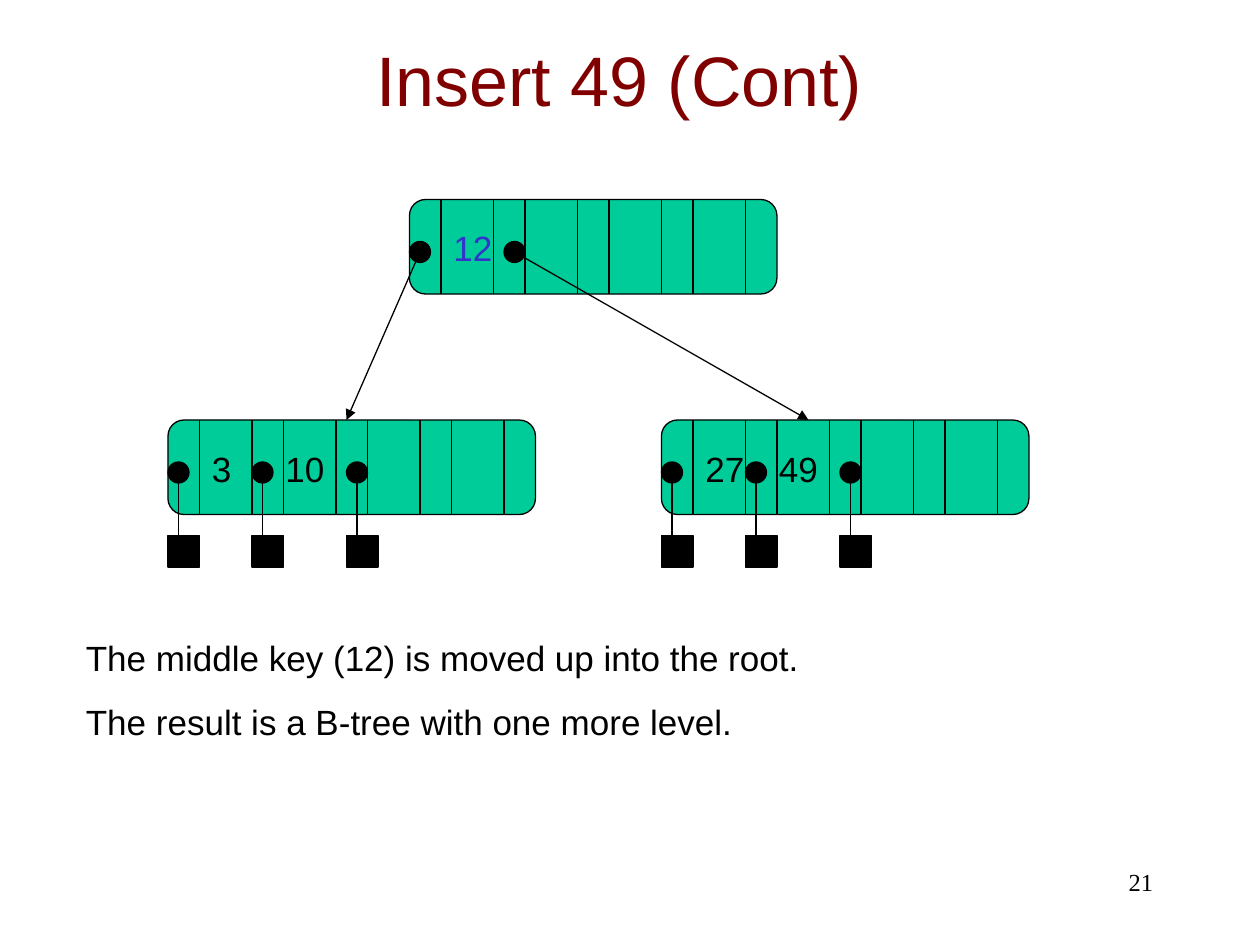
from lxml import etree
from pptx import Presentation
from pptx import util as u
from pptx.dml.color import RGBColor
from pptx.enum import shapes, text
from pptx.oxml import ns

BLACK = RGBColor(0x00, 0x00, 0x00)
GREEN = RGBColor(0x00, 0xCC, 0x99)
MAROON = RGBColor(0x80, 0x00, 0x00)
BLUE = RGBColor(0x33, 0x33, 0xCC)

# Positions are counted in grid steps of a twelfth of an inch.
GRID = u.Cm(2.54 / 12)
NODE_WIDTH, NODE_HEIGHT = 35, 9
POINTER_WIDTH, CELL_PITCH = 3, 8
DOT_SIZE, DOT_DROP = 2, 4
NULL_SIZE, NULL_DROP = 3, 11


def steps(*counts):
    return [u.Emu(round(count * GRID)) for count in counts]


class TreeSlide:
    font_name = "Arial"
    line_width = u.Pt(0.75)

    def __init__(self, slide):
        self.slide = slide

    def text_box(self, left, top, width, height, lines, size, color=BLACK,
                 font=None, align=text.PP_ALIGN.LEFT,
                 anchor=text.MSO_ANCHOR.TOP, wrap=True, gap=0):
        shape = self.slide.shapes.add_textbox(*steps(left, top, width, height))
        frame = shape.text_frame
        frame.word_wrap = wrap
        frame.vertical_anchor = anchor
        if not wrap:
            frame.auto_size = text.MSO_AUTO_SIZE.SHAPE_TO_FIT_TEXT
        for index, line in enumerate(lines):
            paragraph = frame.add_paragraph() if index else frame.paragraphs[0]
            paragraph.alignment = align
            if index and gap:
                paragraph.space_before = gap
            run = paragraph.add_run()
            run.text = line
            run.font.name = font or self.font_name
            run.font.size = u.Pt(size)
            run.font.color.rgb = color

    def solid(self, kind, left, top, width, height, fill=BLACK):
        shape = self.slide.shapes.add_shape(
            kind, *steps(left, top, width, height))
        shape.shadow.inherit = False
        shape.fill.solid()
        shape.fill.fore_color.rgb = fill
        shape.line.color.rgb = BLACK
        shape.line.width = self.line_width
        return shape

    def line(self, start, end, arrow=False):
        connector = self.slide.shapes.add_connector(
            shapes.MSO_CONNECTOR.STRAIGHT, *steps(*start, *end))
        connector.line.color.rgb = BLACK
        connector.line.width = self.line_width
        if arrow:
            outline = connector.line._get_or_add_ln()
            etree.SubElement(outline, ns.qn("a:tailEnd"), type="triangle")
        etree.SubElement(connector._element.spPr, ns.qn("a:effectLst"))

    def node(self, left, top, keys, color=BLACK):
        """Draw a node with its (offset, key) labels and cell dividers."""
        body = self.solid(shapes.MSO_SHAPE.ROUNDED_RECTANGLE,
                          left, top, NODE_WIDTH, NODE_HEIGHT, GREEN)
        body.adjustments[0] = 0.17
        for offset, key in keys:
            self.text_box(left + offset, top + 2, 2.35 + 1.88 * len(key), 5.25,
                          [key], 20, color, wrap=False)
        for cell_left in range(left, left + 4 * CELL_PITCH, CELL_PITCH):
            for x in (cell_left + POINTER_WIDTH, cell_left + CELL_PITCH):
                self.line((x, top), (x, top + NODE_HEIGHT))

    def pointer(self, left, top, target):
        """Draw a dot in the node at this top and an arrow to the target."""
        self.solid(shapes.MSO_SHAPE.OVAL, left, top + DOT_DROP,
                   DOT_SIZE, DOT_SIZE)
        self.line((left + 1, top + DOT_DROP + 1), target, arrow=True)

    def leaf(self, left, top, keys):
        self.node(left, top, keys)
        for x in (left, left + 8, left + 17):
            self.pointer(x, top, (x + 1, top + NULL_DROP + 2))
            self.solid(shapes.MSO_SHAPE.RECTANGLE, x, top + NULL_DROP,
                       NULL_SIZE, NULL_SIZE)


def main():
    presentation = Presentation()
    presentation.slide_width = u.Cm(25.4)
    presentation.slide_height = u.Cm(19.05)
    tree = TreeSlide(presentation.slides.add_slide(
        presentation.slide_layouts[6]))

    tree.text_box(86, 82, 25, 6, ["21"], 14, font="Times New Roman",
                  align=text.PP_ALIGN.RIGHT)
    tree.text_box(8, 2, 102, 11, ["Insert 49 (Cont)"], 40, MAROON,
                  align=text.PP_ALIGN.CENTER, anchor=text.MSO_ANCHOR.MIDDLE)

    root_left, root_top, leaf_top = 39, 19, 40
    tree.leaf(16, leaf_top, [(3, "3"), (10, "10")])
    tree.text_box(7, 60, 109, 11.25, [
        "The middle key (12) is moved up into the root.",
        "The result is a B-tree with one more level.",
    ], 20, gap=u.Pt(12.5))
    tree.leaf(63, leaf_top, [(3, "27"), (10, "49")])

    tree.node(root_left, root_top, [(3, "12")], BLUE)
    tree.pointer(root_left, root_top, (33, leaf_top))
    tree.pointer(root_left + 9, root_top, (77, leaf_top))

    presentation.save("out.pptx")


if __name__ == "__main__":
    main()
